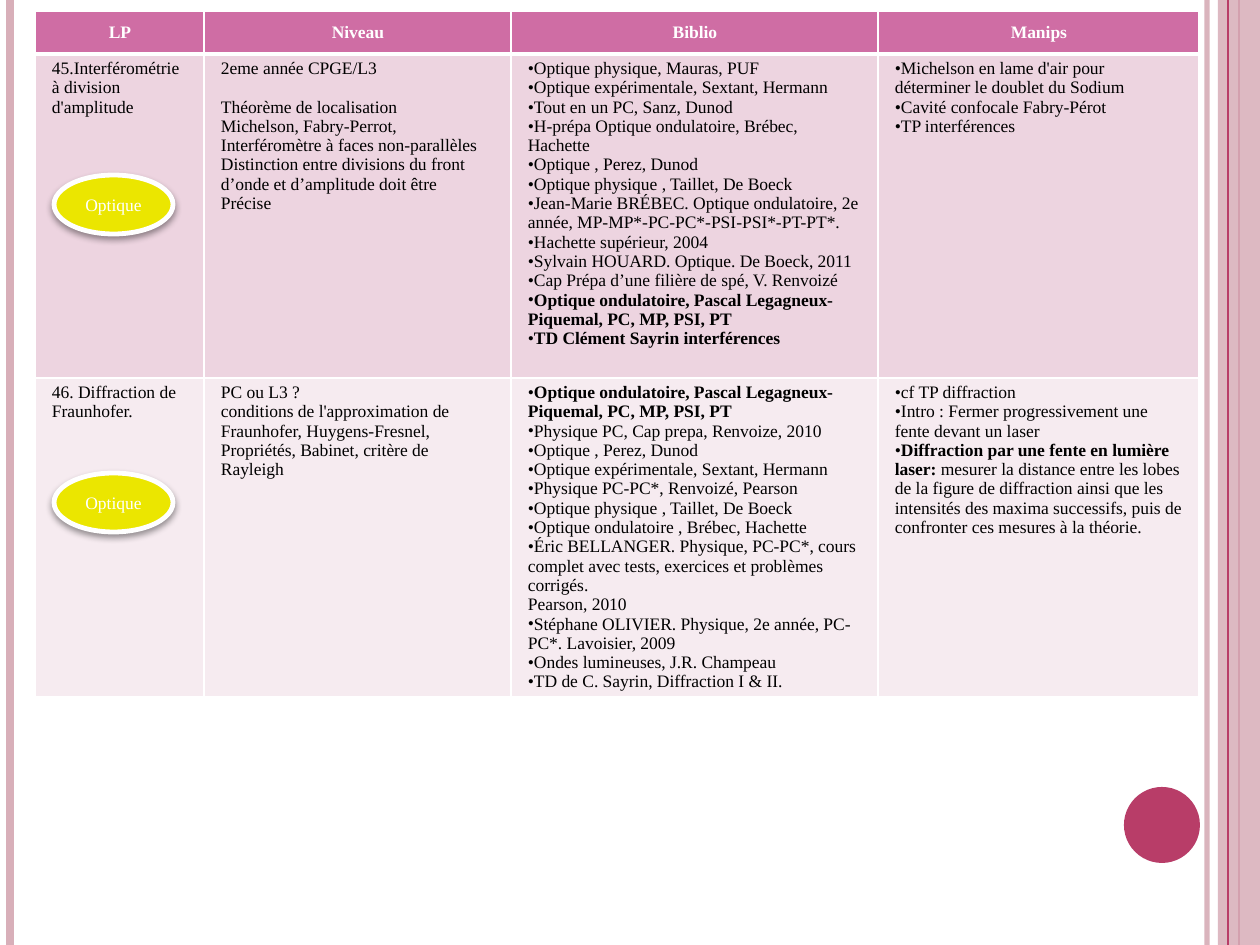
from dataclasses import dataclass

from lxml import etree
from pptx import Presentation
from pptx.dml.color import RGBColor
from pptx.enum.shapes import MSO_CONNECTOR, MSO_SHAPE
from pptx.enum.text import MSO_ANCHOR, PP_ALIGN
from pptx.oxml.ns import qn
from pptx.util import Emu, Pt

OVAL, RECT = MSO_SHAPE.OVAL, MSO_SHAPE.RECTANGLE
LINE = MSO_CONNECTOR.STRAIGHT
MIDDLE, TOP = MSO_ANCHOR.MIDDLE, MSO_ANCHOR.TOP
CENTER, LEFT = PP_ALIGN.CENTER, PP_ALIGN.LEFT
WIDE, HIGH = 1260, 945


@dataclass(frozen=True)
class Theme:
    font: str = "Times New Roman"
    size: int = 10
    white: str = "FFFFFF"
    black: str = "000000"
    rose: str = "D8AFB9"
    wine: str = "B83D68"
    head: str = "CF6DA4"
    bands: tuple = ("EDD4E0", "F6EBF0")
    badge: str = "EBE600"


@dataclass(frozen=True)
class Par:
    text: str
    dot: bool = False
    lead: str = ""  # bold words before the text
    gap: int = 0    # points above


@dataclass(frozen=True)
class Rule:
    x: int
    color: str
    width: float
    alpha: int = 100


THEME = Theme()


def px(n: int) -> Emu:
    return Emu(round(n * 914400 / 126))


def rgb(code: str) -> RGBColor:
    return RGBColor.from_string(code)


def apply(target, values: dict) -> None:
    for name, value in values.items():
        setattr(target, name, value)


def node(parent, tag: str, **attrs):
    return etree.SubElement(parent, qn(tag), {k: str(v) for k, v in attrs.items()})


def fade(part, alpha: int) -> None:
    """Set the opacity, in percent, of the solid colour in an XML part."""
    if alpha < 100:
        node(next(part.iter(qn("a:srgbClr"))), "a:alpha", val=alpha * 1000)


def paint(fill, code: str) -> None:
    fill.solid()
    fill.fore_color.rgb = rgb(code)


def add_run(par, text: str, color: str, bold: bool = False) -> None:
    run = par.add_run()
    run.text = text
    apply(run.font, {"name": THEME.font, "size": Pt(THEME.size), "bold": bold})
    run.font.color.rgb = rgb(color)


def add_rule(slide, rule: Rule) -> None:
    line = slide.shapes.add_connector(LINE, px(rule.x), 0, px(rule.x), px(HIGH))
    line.line.color.rgb = rgb(rule.color)
    line.line.width = Pt(rule.width)
    props = line._element.spPr
    fade(props, rule.alpha)
    node(props, "a:effectLst")


def add_form(slide, kind, box: tuple, color: str, alpha: int = 100):
    form = slide.shapes.add_shape(kind, *map(px, box))
    form.shadow.inherit = False
    paint(form.fill, color)
    fade(form._element.spPr, alpha)
    form.line.fill.background()
    return form


def add_badge(slide, y: int) -> None:
    form = add_form(slide, OVAL, (54, y, 119, 59), THEME.badge)
    form.line.color.rgb = rgb(THEME.white)
    form.line.width = Pt(2.75)
    glow = node(form._element.spPr.find(qn("a:effectLst")), "a:outerShdw",
                blurRad=Pt(4), dist=Pt(2), dir=5400000, rotWithShape=0)
    node(node(glow, "a:srgbClr", val=THEME.black), "a:alpha", val=40000)
    frame = form.text_frame
    apply(frame, {"word_wrap": True, "vertical_anchor": MIDDLE})
    frame.paragraphs[0].alignment = CENTER
    add_run(frame.paragraphs[0], "Optique", THEME.white)


def edge(cell, base: int) -> None:
    props = cell._tc.get_or_add_tcPr()
    for tag, width in {"a:lnL": 1, "a:lnR": 1, "a:lnT": 1, "a:lnB": base}.items():
        fill = node(node(props, tag, w=Pt(width)), "a:solidFill")
        node(fill, "a:srgbClr", val=THEME.white)


def add_dot(par) -> None:
    props = par._p.get_or_add_pPr()
    for name in ("marL", "indent"):
        props.set(name, "0")
    node(props, "a:buFont", typeface=THEME.font)
    node(props, "a:buChar", char="•")


def fill_cell(cell, pars: list, color: str, head: bool) -> None:
    edge(cell, 3 if head else 1)
    paint(cell.fill, color)
    apply(cell, {"margin_left": px(17), "margin_right": px(16),
                 "margin_top": px(5), "margin_bottom": px(5),
                 "vertical_anchor": MIDDLE if head else TOP})
    frame = cell.text_frame
    for i, item in enumerate(pars):
        par = frame.add_paragraph() if i else frame.paragraphs[0]
        par.alignment = CENTER if head else LEFT
        if item.gap:
            par.space_before = Pt(item.gap)
        if item.dot:
            add_dot(par)
        ink = THEME.white if head else THEME.black
        if item.lead:
            add_run(par, item.lead, ink, True)
        if item.text:
            add_run(par, item.text, ink, head)


def add_grid(slide, rows: list) -> None:
    cols, highs = (169, 307, 367, 321), (43, 324, 318)
    grid = slide.shapes.add_table(len(highs), len(cols), px(35), px(11),
                                  px(sum(cols)), px(sum(highs))).table
    for col, width in zip(grid.columns, cols):
        col.width = px(width)
    for row, high, color, cells in zip(grid.rows, highs, (THEME.head, *THEME.bands), rows):
        row.height = px(high)
        for cell, pars in zip(row.cells, cells):
            fill_cell(cell, pars, color, color == THEME.head)


def dots(*texts: str) -> list:
    return [Par(text, dot=True) for text in texts]


# Table content
BOOK = Par("", True, "Optique ondulatoire, Pascal Legagneux-Piquemal, PC, MP, PSI, PT")
ROWS = [
    [[Par(name)] for name in ("LP", "Niveau", "Biblio", "Manips")],
    [
        [Par("45.Interférométrie à division d'amplitude")],
        [Par("2eme année CPGE/L3"),
         Par("Théorème de localisation", gap=11),
         Par("Michelson, Fabry-Perrot, Interféromètre à faces non-parallèles"),
         Par("Distinction entre divisions du front d’onde et d’amplitude doit être"),
         Par("Précise")],
        dots("Optique physique, Mauras, PUF",
             "Optique expérimentale, Sextant, Hermann",
             "Tout en un PC, Sanz, Dunod",
             "H-prépa Optique ondulatoire, Brébec, Hachette",
             "Optique , Perez, Dunod",
             "Optique physique , Taillet, De Boeck",
             "Jean-Marie BRÉBEC. Optique ondulatoire, 2e année, MP-MP*-PC-PC*-PSI-PSI*-PT-PT*.",
             "Hachette supérieur, 2004",
             "Sylvain HOUARD. Optique. De Boeck, 2011",
             "Cap Prépa d’une filière de spé, V. Renvoizé")
        + [BOOK, Par("", True, "TD Clément Sayrin interférences")],
        dots("Michelson en lame d'air pour déterminer le doublet du Sodium",
             "Cavité confocale Fabry-Pérot", "TP interférences"),
    ],
    [
        [Par("46. Diffraction de Fraunhofer.")],
        [Par("PC ou L3 ?"),
         Par("conditions de l'approximation de Fraunhofer, Huygens-Fresnel, "
             "Propriétés, Babinet, critère de Rayleigh")],
        [BOOK]
        + dots("Physique PC, Cap prepa, Renvoize, 2010", "Optique , Perez, Dunod",
               "Optique expérimentale, Sextant, Hermann",
               "Physique PC-PC*, Renvoizé, Pearson",
               "Optique physique , Taillet, De Boeck",
               "Optique ondulatoire , Brébec, Hachette",
               "Éric BELLANGER. Physique, PC-PC*, cours complet avec tests, "
               "exercices et problèmes corrigés.")
        + [Par("Pearson, 2010")]
        + dots("Stéphane OLIVIER. Physique, 2e année, PC-PC*. Lavoisier, 2009",
               "Ondes lumineuses, J.R. Champeau", "TD de C. Sayrin, Diffraction I & II."),
        dots("cf TP diffraction", "Intro : Fermer progressivement une fente devant un laser")
        + [Par("mesurer la distance entre les lobes de la figure de diffraction ainsi que les "
               "intensités des maxima successifs, puis de confronter ces mesures à la théorie.",
               True, "Diffraction par une fente en lumière laser: ")],
    ],
]


def main() -> None:
    deck = Presentation()
    apply(deck, {"slide_width": px(WIDE), "slide_height": px(HIGH)})
    slide = deck.slides.add_slide(deck.slide_layouts[6])

    # Side bands and disc
    for rule in (Rule(1207, THEME.rose, 3, 93), Rule(10, THEME.rose, 4.5),
                 Rule(1239, THEME.wine, 1.5)):
        add_rule(slide, rule)
    add_form(slide, RECT, (1218, 0, 42, HIGH), THEME.rose, 87)
    add_rule(slide, Rule(1228, THEME.wine, 0.75))
    add_form(slide, OVAL, (1124, 787, 76, 76), THEME.wine)

    # Lesson table and topic badges
    add_grid(slide, ROWS)
    for y in (175, 473):
        add_badge(slide, y)
    deck.save("out.pptx")


if __name__ == "__main__":
    main()
